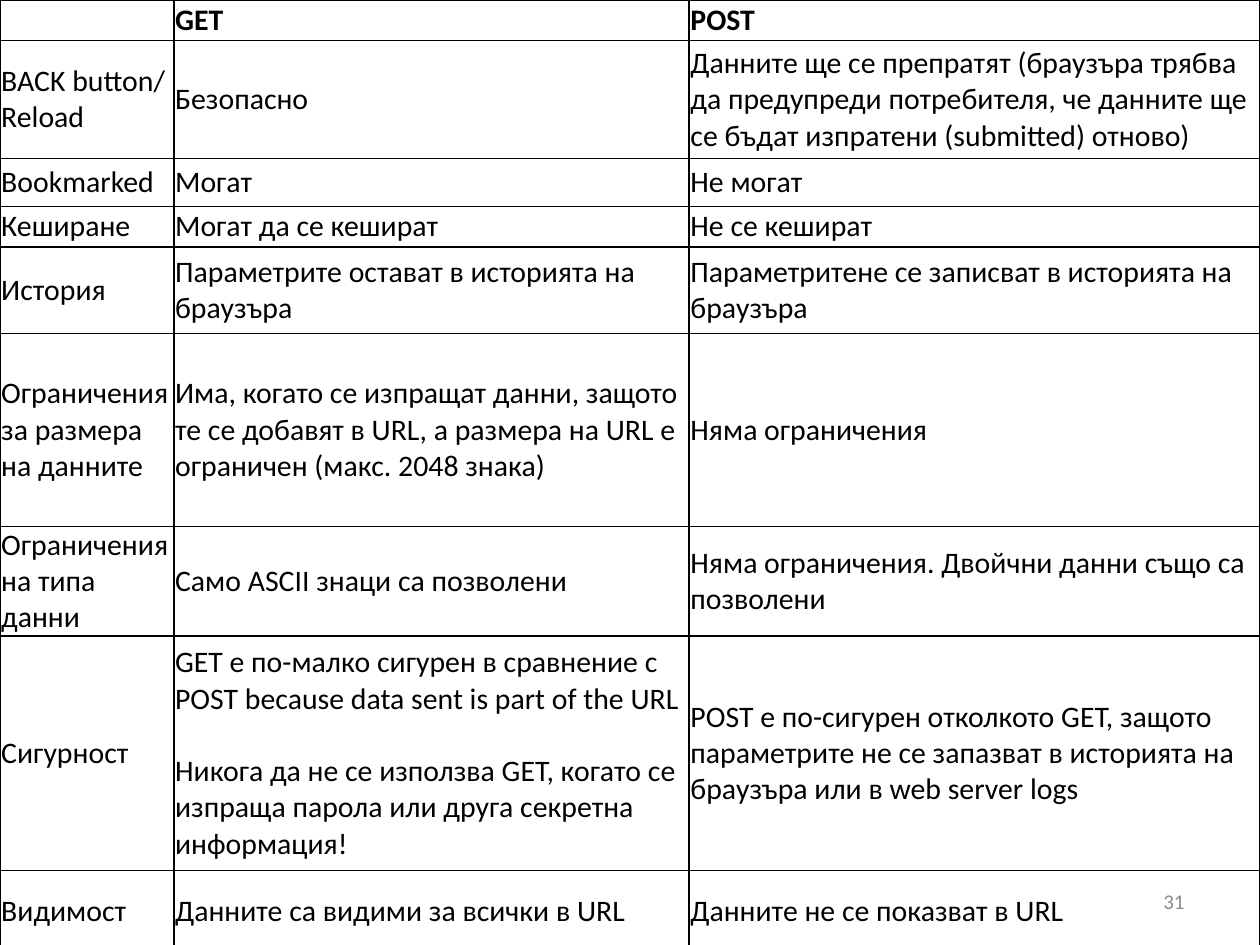
from lxml import etree
from pptx import Presentation
from pptx.dml.color import RGBColor
from pptx.enum.text import MSO_ANCHOR, PP_ALIGN
from pptx.oxml.ns import qn
from pptx.util import Inches, Pt

MIDDLE = MSO_ANCHOR.MIDDLE
RIGHT = PP_ALIGN.RIGHT
BLANK = 6

COLS = [1.38, 4.09, 4.53]
# Row height, then the label, GET and POST texts
ROWS = [
    (0.32, "", "GET", "POST"),
    (0.94, "BACK button/\vReload", "Безопасно",
     "Данните ще се препратят (браузъра трябва да предупреди потребителя, "
     "че данните ще се бъдат изпратени (submitted) отново)"),
    (0.38, "Bookmarked", "Могат", "Не могат"),
    (0.32, "Кеширане", "Могат да се кешират", "Не се кешират"),
    (0.69, "История", "Параметрите остават в историята на браузъра",
     "Параметритене се записват в историята на браузъра"),
    (1.53, "Ограничения за размера на данните",
     "Има, когато се изпращат данни, защото те се добавят в URL, "
     "а размера на URL е ограничен (макс. 2048 знака)", "Няма ограничения"),
    (0.87, "Ограничения на типа данни", "Само ASCII знаци са позволени",
     "Няма ограничения. Двойчни данни също са позволени"),
    (1.86, "Сигурност",
     "GET е по-малко сигурен в сравнение с POST because data sent is part "
     "of the URL\nНикога да не се използва GET, когато се изпраща парола "
     "или друга секретна информация!",
     "POST е по-сигурен отколкото GET, защото параметрите не се запазват "
     "в историята на браузъра или в web server logs"),
    (0.65, "Видимост", "Данните са видими за всички в URL",
     "Данните не се показват в URL"),
]


def color(code):
    return RGBColor.from_string(code)


def apply(target, values):
    for name, value in values.items():
        setattr(target, name, value)


class Deck:
    face = "Calibri"
    ink = "000000"
    gray = "8C8C8C"
    size = 17
    gap = 20.5
    cell_box = {"vertical_anchor": MIDDLE,
                "margin_left": Inches(0.01), "margin_right": Inches(0.01),
                "margin_top": 0, "margin_bottom": 0}

    def __init__(self):
        self.file = Presentation()
        apply(self.file, {"slide_width": Inches(10),
                          "slide_height": Inches(7.5)})
        self.slide = self.file.slides.add_slide(
            self.file.slide_layouts[BLANK])

    def label(self, frame, text, size, code, bold=False):
        frame.text = text
        for index, para in enumerate(frame.paragraphs):
            if index:
                para.space_before = Pt(self.gap)
            for run in para.runs:
                apply(run.font, {"name": self.face, "size": Pt(size),
                                 "bold": bold})
                run.font.color.rgb = color(code)

    def border(self, cell):
        props = cell._tc.get_or_add_tcPr()
        for side in ("lnL", "lnR", "lnT", "lnB"):
            line = etree.SubElement(props, qn("a:" + side), w=str(Pt(1)))
            fill = etree.SubElement(line, qn("a:solidFill"))
            etree.SubElement(fill, qn("a:srgbClr"), val=self.ink)

    def table(self, left, top, cols, rows):
        high = sum(row[0] for row in rows)
        table = self.slide.shapes.add_table(
            len(rows), len(cols), Inches(left), Inches(top),
            Inches(sum(cols)), Inches(high)).table
        apply(table, {"first_row": False, "horz_banding": False})
        for col, width in zip(table.columns, cols):
            col.width = Inches(width)
        for index, (row, (height, *texts)) in enumerate(zip(table.rows, rows)):
            row.height = Inches(height)
            for cell, text in zip(row.cells, texts):
                apply(cell, self.cell_box)
                self.border(cell)
                cell.fill.background()
                self.label(cell.text_frame, text, self.size, self.ink,
                           bold=index == 0)

    def number(self, text, left, top, width, height):
        box = self.slide.shapes.add_textbox(
            Inches(left), Inches(top), Inches(width), Inches(height))
        frame = box.text_frame
        apply(frame, {"word_wrap": True, "vertical_anchor": MIDDLE})
        self.label(frame, text, 12, self.gray)
        frame.paragraphs[0].alignment = RIGHT


def main():
    deck = Deck()
    # Comparison of GET and POST
    deck.table(0, 0, COLS, ROWS)
    # Slide number
    deck.number("31", 7.17, 6.95, 2.33, 0.4)
    deck.file.save("out.pptx")


if __name__ == "__main__":
    main()
